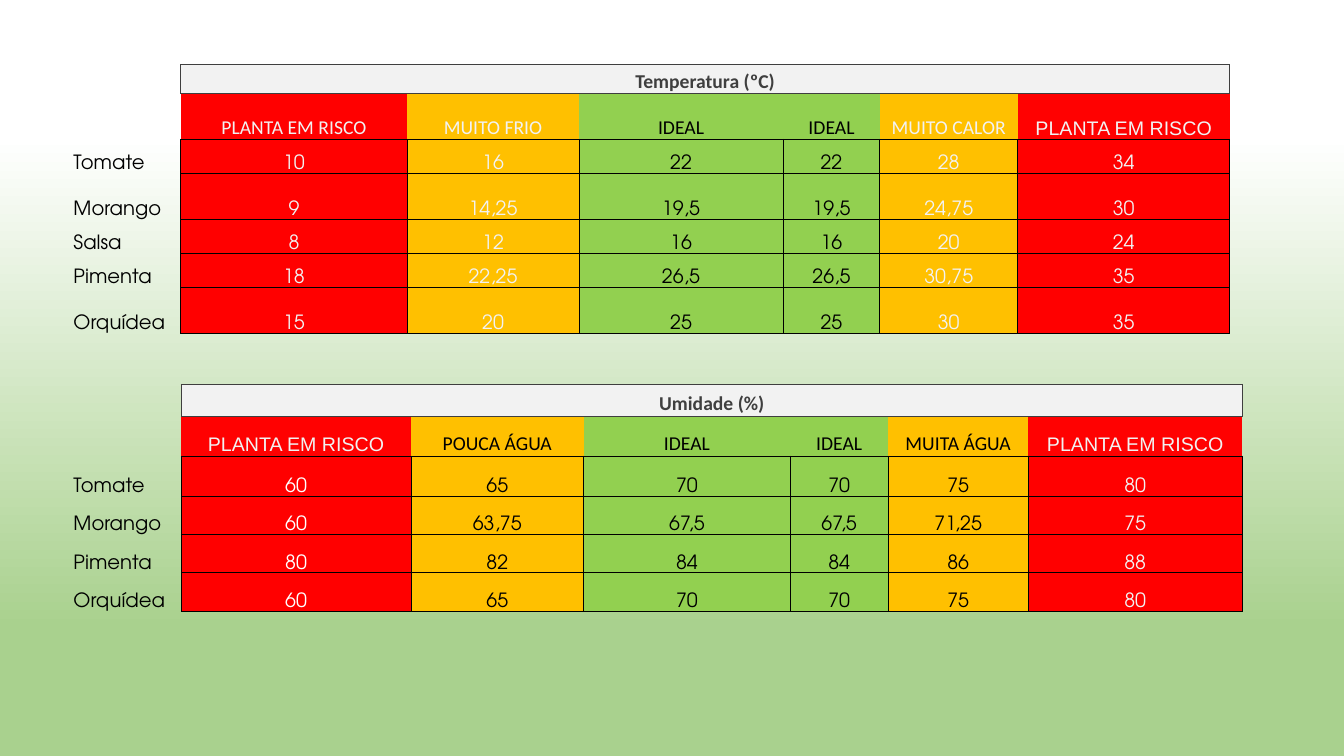
from lxml import etree
from pptx import Presentation
from pptx.dml.color import RGBColor
from pptx.enum.text import MSO_ANCHOR, PP_ALIGN
from pptx.oxml.ns import qn
from pptx.util import Pt

BOTTOM = MSO_ANCHOR.BOTTOM
LEFT, CENTER = PP_ALIGN.LEFT, PP_ALIGN.CENTER

BLACK = RGBColor(0x00, 0x00, 0x00)
WHITE = RGBColor(0xFF, 0xFF, 0xFF)
PALE = RGBColor(0xF2, 0xF2, 0xF2)
DARK_GRAY = RGBColor(0x3F, 0x3F, 0x3F)
RED = RGBColor(0xFF, 0x00, 0x00)
HEADER_RED = RGBColor(0xFF, 0x01, 0x01)
AMBER = RGBColor(0xFF, 0xC0, 0x00)
GREEN = RGBColor(0x92, 0xD0, 0x50)
LEAF = RGBColor(0xA9, 0xD1, 0x8E)

HEADING_FONT = "Calibri"
RISK_FONT = "Arial"
BODY_FONT = "TeX Gyre Adventor"
TEXT_SIZE = Pt(14)
BORDER_WIDTH = Pt(0.5)
PLAIN_TABLE_STYLE = "{2D5ABB26-0587-4C30-8999-92F81FD0307C}"
LEVEL_FILLS = [RED, AMBER, GREEN, GREEN, AMBER, RED]

TEMPERATURE = {
    "title": "Temperatura (ºC)",
    "headers": [
        ("PLANTA EM RISCO", HEADING_FONT, RED, PALE),
        ("MUITO FRIO", HEADING_FONT, AMBER, PALE),
        ("IDEAL", HEADING_FONT, GREEN, BLACK),
        ("IDEAL", HEADING_FONT, GREEN, BLACK),
        ("MUITO CALOR", HEADING_FONT, AMBER, PALE),
        ("PLANTA EM RISCO", RISK_FONT, HEADER_RED, PALE),
    ],
    "value_colors": [PALE, PALE, BLACK, BLACK, PALE, PALE],
    "plants": [
        ("Tomate", "10", "16", "22", "22", "28", "34"),
        ("Morango", "9", "14,25", "19,5", "19,5", "24,75", "30"),
        ("Salsa", "8", "12", "16", "16", "20", "24"),
        ("Pimenta", "18", "22,25", "26,5", "26,5", "30,75", "35"),
        ("Orquídea", "15", "20", "25", "25", "30", "35"),
    ],
    "widths": [76.5, 162, 122.5, 146, 69, 98.5, 151.5],
    "heights": [20.5, 32.8, 24.4, 32.8, 24.4, 24.4, 32.8],
}

HUMIDITY = {
    "title": "Umidade (%)",
    "headers": [
        ("PLANTA EM RISCO", RISK_FONT, HEADER_RED, PALE),
        ("POUCA ÁGUA", HEADING_FONT, AMBER, BLACK),
        ("IDEAL", HEADING_FONT, GREEN, BLACK),
        ("IDEAL", HEADING_FONT, GREEN, BLACK),
        ("MUITA ÁGUA", HEADING_FONT, AMBER, BLACK),
        ("PLANTA EM RISCO", RISK_FONT, HEADER_RED, PALE),
    ],
    "value_colors": [WHITE, BLACK, BLACK, BLACK, BLACK, PALE],
    "plants": [
        ("Tomate", "60", "65", "70", "70", "75", "80"),
        ("Morango", "60", "63,75", "67,5", "67,5", "71,25", "75"),
        ("Pimenta", "80", "82", "84", "84", "86", "88"),
        ("Orquídea", "60", "65", "70", "70", "75", "80"),
    ],
    "widths": [77, 164, 123.5, 147.5, 70, 100, 153],
    "heights": [22.7, 28.6, 28.6, 27.4, 27.4, 27.4],
}


def format_cell(cell, borders, fill=None):
    cell.margin_left = cell.margin_right = cell.margin_top = cell.margin_bottom = 0
    cell.vertical_anchor = BOTTOM
    properties = cell._tc.get_or_add_tcPr()
    for side in "LRTB":
        line = etree.SubElement(properties, qn(f"a:ln{side}"), w=str(BORDER_WIDTH))
        if side in borders:
            solid = etree.SubElement(line, qn("a:solidFill"))
            etree.SubElement(solid, qn("a:srgbClr"), val=str(borders[side]))
        else:
            etree.SubElement(line, qn("a:noFill"))
    if fill is None:
        cell.fill.background()
    else:
        cell.fill.solid()
        cell.fill.fore_color.rgb = fill


def write_cell(cell, text, font_name, color, alignment=CENTER, bold=False):
    paragraph = cell.text_frame.paragraphs[0]
    paragraph.alignment = alignment
    run = paragraph.add_run()
    run.text = text
    run.font.name = font_name
    run.font.size = TEXT_SIZE
    run.font.bold = bold
    run.font.color.rgb = color


def size_empty_cell(cell):
    paragraph = cell.text_frame.paragraphs[0]
    size = str(int(TEXT_SIZE.pt * 100))
    etree.SubElement(paragraph._p, qn("a:endParaRPr"), sz=size)


def fill_title_row(table, title):
    format_cell(table.cell(0, 0), {"R": DARK_GRAY})
    size_empty_cell(table.cell(0, 0))
    last = len(table.columns) - 1
    for column in range(1, last + 1):
        format_cell(table.cell(0, column), dict.fromkeys("LRTB", DARK_GRAY), PALE)
        if column > 1:
            size_empty_cell(table.cell(0, column))
    table.cell(0, 1).merge(table.cell(0, last))
    write_cell(table.cell(0, 1), title, HEADING_FONT, DARK_GRAY, bold=True)


def fill_header_row(table, headers):
    format_cell(table.cell(1, 0), {})
    size_empty_cell(table.cell(1, 0))
    for column, (text, font_name, fill, color) in enumerate(headers, 1):
        cell = table.cell(1, column)
        format_cell(cell, {"T": DARK_GRAY, "B": BLACK}, fill)
        write_cell(cell, text, font_name, color)


def fill_plant_row(table, row, plant, value_colors):
    name, *values = plant
    format_cell(table.cell(row, 0), {"R": BLACK})
    write_cell(table.cell(row, 0), name, BODY_FONT, BLACK, LEFT)
    for column, (value, fill, color) in enumerate(zip(values, LEVEL_FILLS, value_colors), 1):
        cell = table.cell(row, column)
        format_cell(cell, dict.fromkeys("LRTB", BLACK), fill)
        write_cell(cell, value, BODY_FONT, color)


def add_range_table(slide, ranges, left, top):
    widths, heights = ranges["widths"], ranges["heights"]
    shape = slide.shapes.add_table(
        len(heights), len(widths), Pt(left), Pt(top), Pt(sum(widths)), Pt(sum(heights))
    )
    table = shape.table
    table.first_row = False
    table.horz_banding = False
    table._tbl.tblPr.find(qn("a:tableStyleId")).text = PLAIN_TABLE_STYLE
    for column, width in zip(table.columns, widths):
        column.width = Pt(width)
    for row, height in zip(table.rows, heights):
        row.height = Pt(height)
    fill_title_row(table, ranges["title"])
    fill_header_row(table, ranges["headers"])
    for row, plant in enumerate(ranges["plants"], 2):
        fill_plant_row(table, row, plant, ranges["value_colors"])


def paint_background(slide):
    fill = slide.background.fill
    fill.gradient()
    fill.gradient_angle = 270
    for stop, color, position in zip(fill.gradient_stops, (WHITE, LEAF), (0.18, 0.83)):
        stop.color.rgb = color
        stop.position = position


def main():
    presentation = Presentation()
    presentation.slide_width = Pt(960)
    presentation.slide_height = Pt(540)
    slide = presentation.slides.add_slide(presentation.slide_layouts[6])
    paint_background(slide)
    add_range_table(slide, TEMPERATURE, 52.5, 46.2)
    add_range_table(slide, HUMIDITY, 52.5, 274.5)
    presentation.save("out.pptx")


if __name__ == "__main__":
    main()
